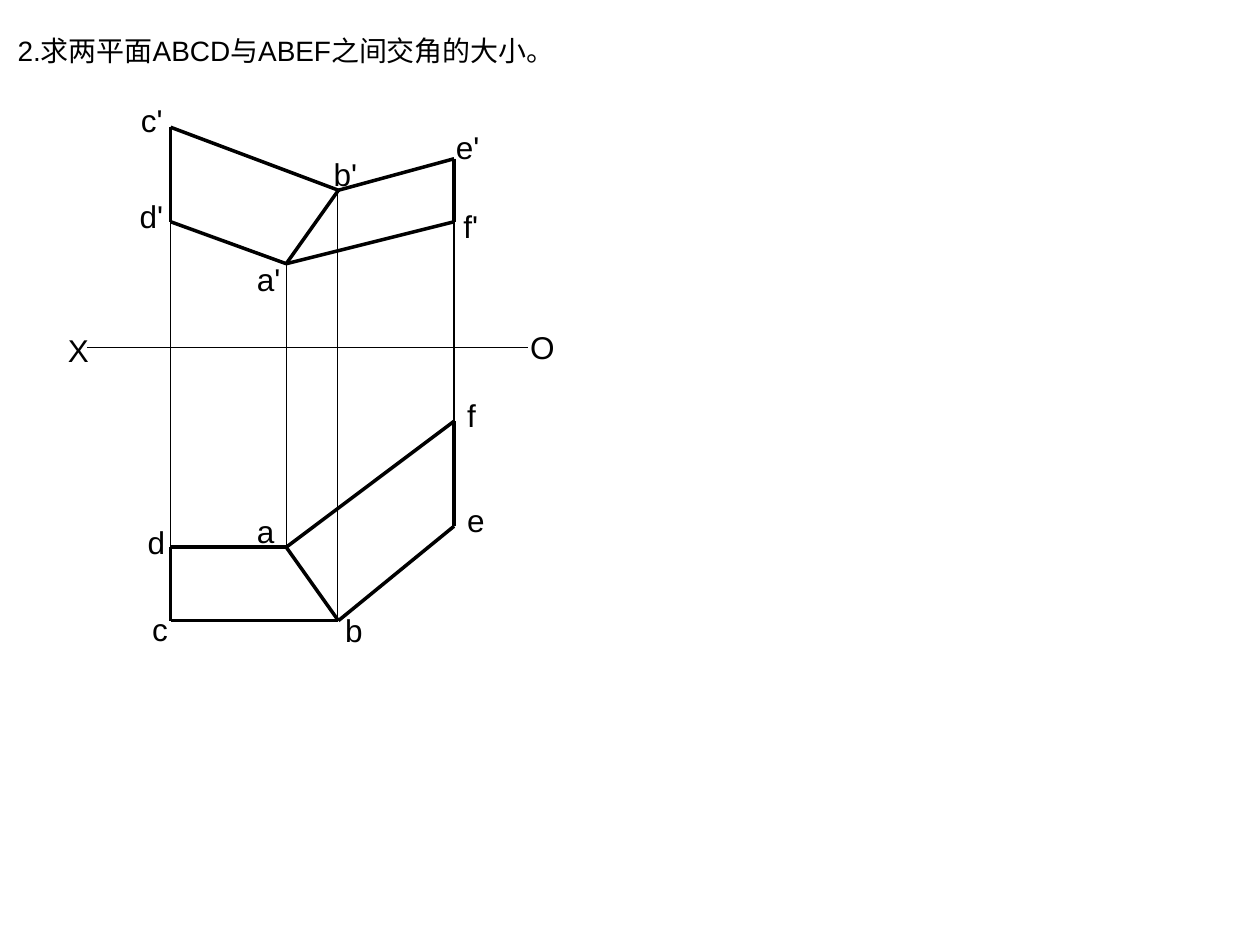
from dataclasses import dataclass

from lxml.etree import SubElement
from pptx import Presentation
from pptx.dml.color import RGBColor
from pptx.enum.shapes import MSO_CONNECTOR
from pptx.enum.text import MSO_ANCHOR, MSO_AUTO_SIZE, PP_ALIGN
from pptx.oxml.ns import qn
from pptx.shapes.autoshape import Shape
from pptx.slide import Slide
from pptx.util import Inches, Pt

COLORS = {"ink": "000000", "paper": "FFFFFF"}
FONT = "Arial"
COLUMNS, ROWS = 1000, 750
PAGE_WIDTH, PAGE_HEIGHT = Inches(10), Inches(7.5)
THICK, THIN = 2, 0.75
LABEL_HEIGHT, PRIME_WIDTH = 40, 5
LETTER_WIDTHS = {"c": 33, "f": 28, "X": 37, "O": 40}
USUAL_WIDTH = 35


@dataclass(frozen=True)
class Spot:
    column: float
    row: float


@dataclass(frozen=True)
class Vertex:
    name: str
    column: float
    front_row: float
    top_row: float
    front_label: Spot
    top_label: Spot

    @property
    def front(self) -> Spot:
        return Spot(self.column, self.front_row)

    @property
    def top(self) -> Spot:
        return Spot(self.column, self.top_row)


VERTICES = {
    vertex.name: vertex
    for vertex in (
        Vertex("a", 227.2, 209.3, 434.3, Spot(194, 201.5), Spot(194, 401.5)),
        Vertex("b", 268.6, 151, 492.6, Spot(255, 118), Spot(264, 480)),
        Vertex("c", 135.4, 101, 492.6, Spot(102, 75), Spot(111, 479)),
        Vertex("d", 135.4, 176, 434.3, Spot(101, 151.5), Spot(107.4, 410.5)),
        Vertex("e", 360.4, 126, 417.6, Spot(352, 97), Spot(361, 393)),
        Vertex("f", 360.4, 176, 334.3, Spot(358, 159), Spot(361, 309)),
    )
}
EDGES = ("ab", "bc", "cd", "da", "be", "ef", "fa")
PROJECTION_COLUMNS = {"a": 227.2, "b": 267.8, "d": 135.4, "f": 360.4}
AXIS = (Spot(69, 276), Spot(419, 276))
AXIS_LABELS = {"X": Spot(44, 258), "O": Spot(411, 255.5)}


def across(columns: float) -> int:
    return round(PAGE_WIDTH * columns / COLUMNS)


def down(rows: float) -> int:
    return round(PAGE_HEIGHT * rows / ROWS)


def draw_line(page: Slide, start: Spot, end: Spot, weight: float) -> None:
    line = page.shapes.add_connector(
        MSO_CONNECTOR.STRAIGHT,
        across(start.column), down(start.row), across(end.column), down(end.row),
    )
    line.line.color.rgb = RGBColor.from_string(COLORS["ink"])
    line.line.width = Pt(weight)
    SubElement(line._element.spPr, qn("a:effectLst"))


def write_text(box: Shape, text: str, size: float) -> None:
    frame = box.text_frame
    frame.text = text
    frame.word_wrap = False
    frame.auto_size = MSO_AUTO_SIZE.SHAPE_TO_FIT_TEXT
    frame.vertical_anchor = MSO_ANCHOR.TOP
    para = frame.paragraphs[0]
    para.alignment = PP_ALIGN.LEFT
    para.font.name = FONT
    para.font.size = Pt(size)
    para.font.color.rgb = RGBColor.from_string(COLORS["ink"])


def draw_label(page: Slide, text: str, spot: Spot) -> None:
    width = LETTER_WIDTHS.get(text[0], USUAL_WIDTH) + PRIME_WIDTH * (len(text) - 1)
    box = page.shapes.add_textbox(
        across(spot.column), down(spot.row), across(width), down(LABEL_HEIGHT)
    )
    write_text(box, text, 18)


def draw_title(page: Slide, text: str) -> None:
    title = page.shapes.title
    title.left, title.top = across(4), down(21.5)
    title.width, title.height = across(472), down(37)
    write_text(title, text, 16)


def main() -> None:
    deck = Presentation()
    deck.slide_width, deck.slide_height = PAGE_WIDTH, PAGE_HEIGHT
    page = deck.slides.add_slide(deck.slide_layouts.get_by_name("Title Only"))
    page.background.fill.solid()
    page.background.fill.fore_color.rgb = RGBColor.from_string(COLORS["paper"])

    draw_title(page, "2.求两平面ABCD与ABEF之间交角的大小。")
    draw_line(page, *AXIS, THIN)
    for name, column in PROJECTION_COLUMNS.items():
        vertex = VERTICES[name]
        draw_line(page, Spot(column, vertex.front_row), Spot(column, vertex.top_row), THIN)
    for first, second in EDGES:
        start, end = VERTICES[first], VERTICES[second]
        draw_line(page, start.front, end.front, THICK)
        draw_line(page, start.top, end.top, THICK)
    for vertex in VERTICES.values():
        draw_label(page, vertex.name + "'", vertex.front_label)
        draw_label(page, vertex.name, vertex.top_label)
    for name, spot in AXIS_LABELS.items():
        draw_label(page, name, spot)

    deck.save("out.pptx")


if __name__ == "__main__":
    main()
